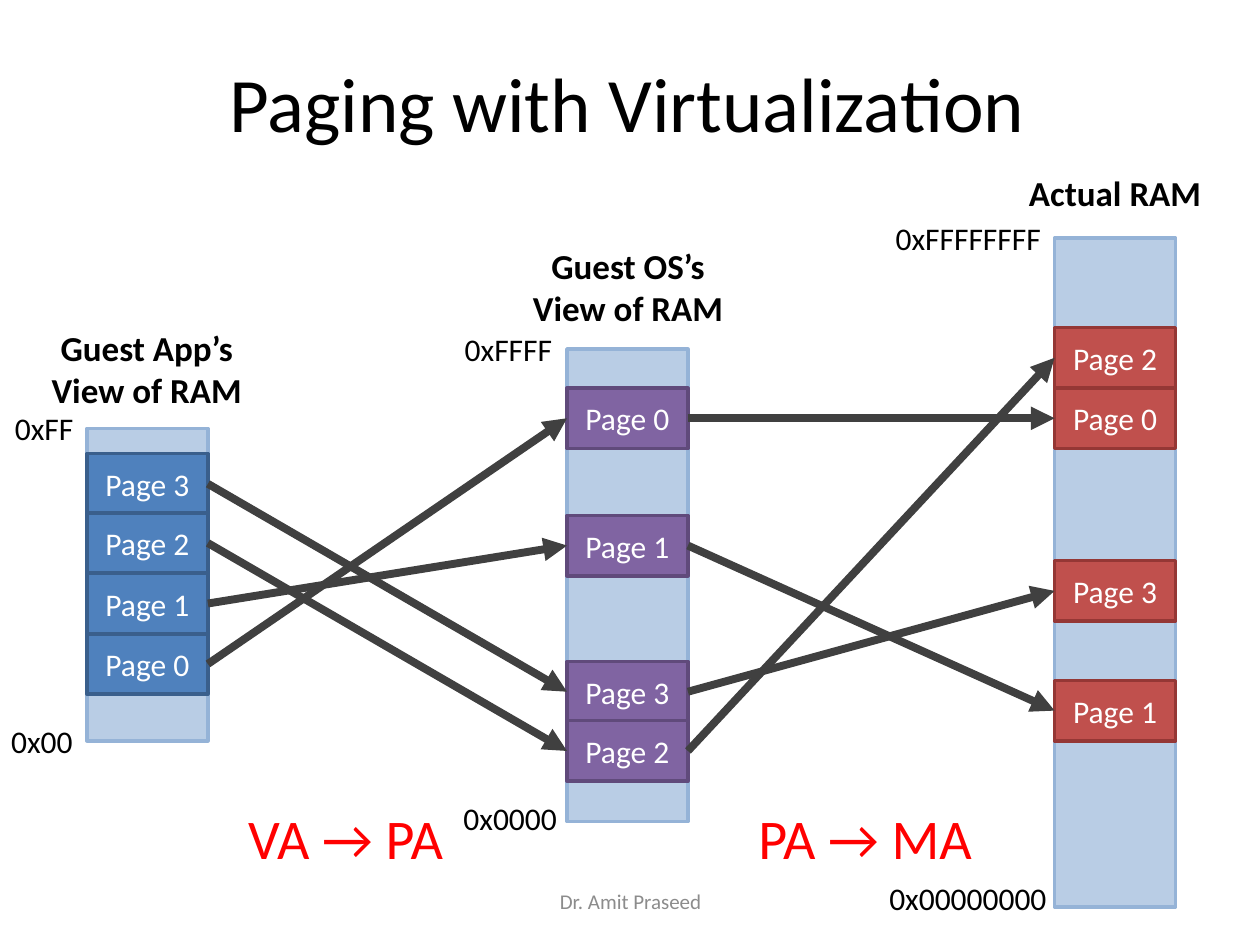
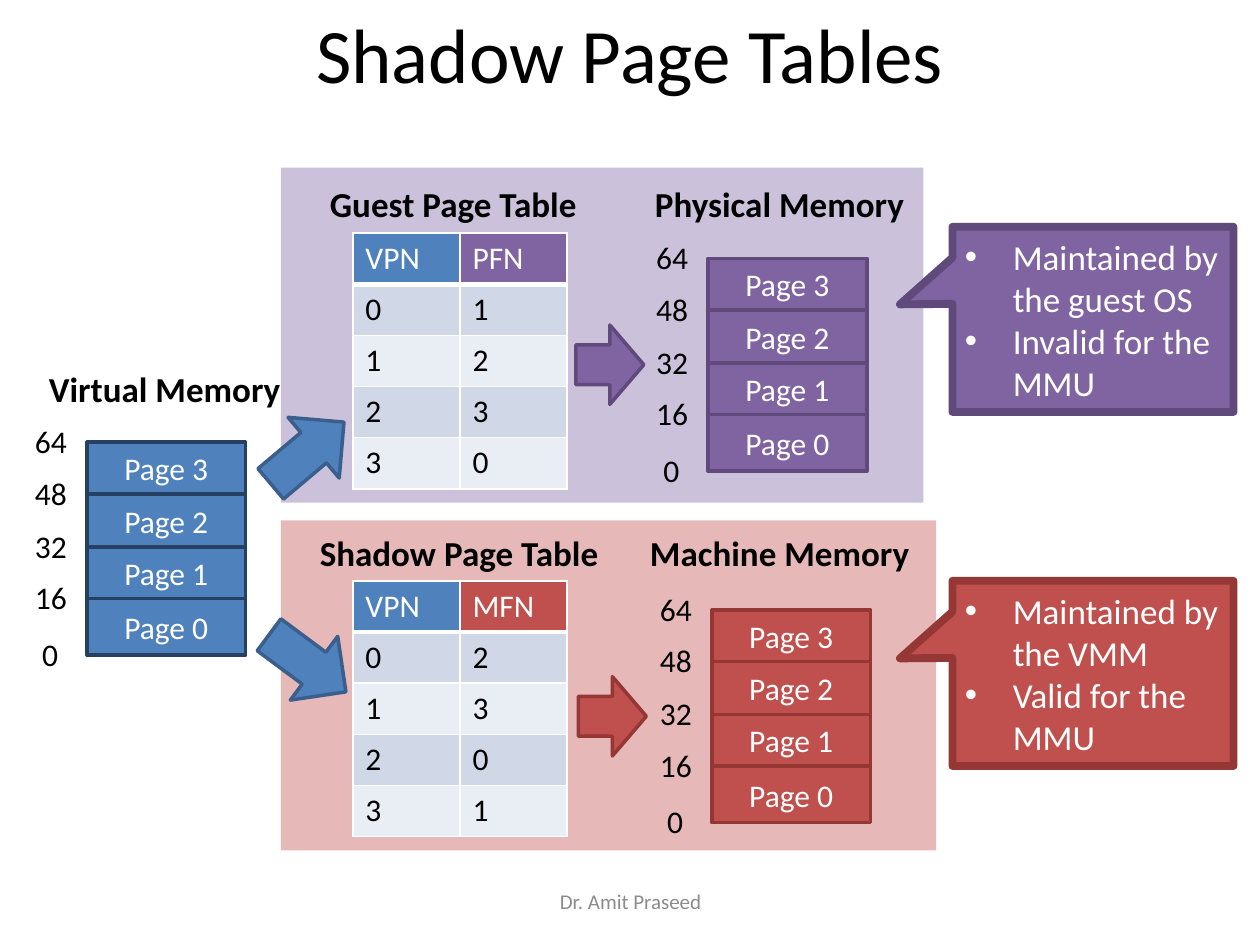
from lxml.etree import SubElement
from pptx import Presentation
from pptx.dml.color import RGBColor
from pptx.enum.shapes import MSO_CONNECTOR as CONN, MSO_SHAPE as SHAPE
from pptx.enum.text import MSO_ANCHOR as ANCHOR, MSO_AUTO_SIZE as AUTO, PP_ALIGN as ALIGN
from pptx.oxml import parse_xml
from pptx.oxml.ns import nsdecls, qn
from pptx.util import Inches, Pt

FONT = "Calibri"
BLACK, WHITE, RED_TEXT, GREY = "000000", "FFFFFF", "FF0000", "8C8C8C"
BLUE, PURPLE, RED = ("4F81BD", "3A5F8C"), ("8064A2", "604A7B"), ("C0504D", "953735")
NAVY_EDGED = ("4F81BD", "254061")
RAM = ("B9CDE5", "95B3D7")
ARROW = "404040"
BANDS = ("D0D8E8", "E9EDF4")
PAGE_W, PAGE_H = 0.96, 0.48


def rgb(value):
    """Turn a hex string into a colour."""
    return RGBColor.from_string(value)


def inches(box):
    """Convert a box of numbers to lengths."""
    return [Inches(v) for v in box]


def write(tf, text, size, color, align=ALIGN.LEFT, bold=False):
    """Fill a text frame and format every paragraph alike."""
    tf.text = text
    for p in tf.paragraphs:
        p.alignment = align
        for r in p.runs:
            r.font.name, r.font.size, r.font.bold = FONT, Pt(size), bold
            r.font.color.rgb = rgb(color)


def add_label(shapes, box, text, size=18, color=BLACK, align=ALIGN.LEFT, bold=False, wrap=False):
    """Add a text box that grows with its text."""
    tf = shapes.add_textbox(*inches(box)).text_frame
    write(tf, text, size, color, align, bold)
    tf.word_wrap = wrap
    tf.auto_size = AUTO.SHAPE_TO_FIT_TEXT
    return tf


def add_box(shapes, box, colors, text="", kind=SHAPE.RECTANGLE, width=2, size=18, align=ALIGN.CENTER):
    """Add a filled preset shape with an optional outline and text."""
    fill, edge = colors
    s = shapes.add_shape(kind, *inches(box))
    s.shadow.inherit = False
    s.fill.solid()
    s.fill.fore_color.rgb = rgb(fill)
    if edge:
        s.line.color.rgb = rgb(edge)
        s.line.width = Pt(width)
    else:
        s.line.fill.background()
    if text:
        write(s.text_frame, text, size, WHITE, align)
        s.text_frame.vertical_anchor = ANCHOR.MIDDLE
    return s


def add_link(shapes, start, end):
    """Draw a thick arrow between two points."""
    c = shapes.add_connector(CONN.STRAIGHT, *inches((*start, *end)))
    c.line.color.rgb = rgb(ARROW)
    c.line.width = Pt(4.5)
    SubElement(c.line._get_or_add_ln(), qn("a:tailEnd"), type="triangle")
    SubElement(c._element.spPr, qn("a:effectLst"))


def new_slide(prs, title, box):
    """Add a slide with its title and the shared footer."""
    slide = prs.slides.add_slide(prs.slide_layouts[5])
    s = slide.shapes.title
    s.left, s.top, s.width, s.height = inches(box)
    write(s.text_frame, title, 44, BLACK, ALIGN.CENTER)
    s.text_frame.vertical_anchor = ANCHOR.MIDDLE
    tf = add_label(slide.shapes, (3.42, 6.95, 3.17, 0.4), "Dr. Amit Praseed", 12, GREY, ALIGN.CENTER, wrap=True)
    tf.auto_size = AUTO.NONE
    tf.vertical_anchor = ANCHOR.MIDDLE
    return slide


def ram_column(slide, box, title, title_box, ends, colors, pages):
    """Draw one view of RAM with its title, end addresses and pages."""
    shapes = slide.shapes.add_group_shape().shapes
    add_box(shapes, box, RAM)
    add_label(shapes, title_box, title, 20, align=ALIGN.CENTER, bold=True)
    for number, top in pages.items():
        add_box(shapes, (box[0], top, PAGE_W, PAGE_H), colors, f"Page {number}")
    for text, left, top, width in ends:
        add_label(shapes, (left, top, width, 0.4), text)


def link_pages(slide, source_left, source, target_left, target):
    """Link each page to the page of the same number in the next column."""
    for number, top in source.items():
        add_link(slide.shapes, (source_left + PAGE_W, top + PAGE_H / 2),
                 (target_left, target[number] + PAGE_H / 2))


def page_stack(slide, left, top, colors, title, title_box):
    """Draw four stacked pages with addresses at their edges."""
    shapes = slide.shapes.add_group_shape().shapes
    edges = (0, 0.41, 0.83, 1.24, 1.69)
    for i, (upper, lower) in enumerate(zip(edges, edges[1:])):
        add_box(shapes, (left, top + upper, 1.26, lower - upper), colors, f"Page {3 - i}")
    for i, edge in enumerate(edges):
        address = 64 - 16 * i
        indent, width = (0.52, 0.46) if address else (0.46, 0.33)
        add_label(shapes, (left - indent, top + edge - 0.21, width, 0.4), str(address), align=ALIGN.RIGHT)
    add_label(shapes, title_box, title, 20, bold=True)


def set_borders(cell, bottom):
    """Give a cell white borders."""
    tc_pr = cell._tc.get_or_add_tcPr()
    for i, (side, width) in enumerate((("L", 1), ("R", 1), ("T", 1), ("B", bottom))):
        tc_pr.insert(i, parse_xml(
            f'<a:ln{side} {nsdecls("a")} w="{Pt(width)}"><a:solidFill>'
            f'<a:srgbClr val="{WHITE}"/></a:solidFill></a:ln{side}>'))


def page_table(slide, left, top, head, head_fills, frames):
    """Draw a page table that maps page numbers to frames."""
    rows = [head] + [(str(i), str(frame)) for i, frame in enumerate(frames)]
    table = slide.shapes.add_table(len(rows), 2, *inches((left, top, 1.7, 2.03))).table
    for i, row in enumerate(rows):
        fills = BANDS[(i - 1) % 2:][:1] * 2 if i else head_fills
        for j, text in enumerate(row):
            cell = table.cell(i, j)
            write(cell.text_frame, text, 18, BLACK if i else WHITE)
            cell.fill.solid()
            cell.fill.fore_color.rgb = rgb(fills[j])
            set_borders(cell, 1 if i else 3)


def callout(slide, box, colors, lines):
    """Draw a bulleted callout pointing left."""
    s = add_box(slide.shapes, box, colors, "\n".join(lines), SHAPE.RECTANGULAR_CALLOUT, 4.5, 20, ALIGN.LEFT)
    s.adjustments[0], s.adjustments[1] = -0.687, -0.081
    for p in s.text_frame.paragraphs:
        p_pr = p._p.get_or_add_pPr()
        p_pr.set("marL", str(Inches(0.38)))
        p_pr.set("indent", str(-Inches(0.38)))
        SubElement(p_pr, qn("a:buFont"), typeface="Arial")
        SubElement(p_pr, qn("a:buChar"), char="•")


def paging_slide(prs):
    """Build the slide on paging with virtualization."""
    slide = new_slide(prs, "Paging with Virtualization", (0.48, 0.18, 9, 1.25))
    app_left, os_left, ram_left = 0.69, 4.5, 8.37
    app = {3: 3.6, 2: 4.07, 1: 4.55, 0: 5.03}
    guest = {3: 5.25, 2: 5.72, 1: 4.09, 0: 3.08}
    actual = {3: 4.45, 2: 2.6, 1: 5.4, 0: 3.08}
    ram_column(slide, (app_left, 3.4, PAGE_W, 2.48), "Guest App’s\nView of RAM", (0.3, 2.54, 1.73, 0.77),
               (("0xFF", 0.02, 3.2, 0.67), ("0x00", -0.01, 5.68, 0.69)), BLUE, app)
    ram_column(slide, (ram_left, 1.89, PAGE_W, 5.31), "Actual RAM", (8.06, 1.31, 1.58, 0.44),
               (("0xFFFFFFFF", 7.01, 1.69, 1.36), ("0x00000000", 6.96, 6.93, 1.46)), RED, actual)
    ram_column(slide, (os_left, 2.77, PAGE_W, 3.75), "Guest OS’s\nView of RAM", (4.12, 1.89, 1.73, 0.77),
               (("0xFFFF", 3.59, 2.57, 0.9), ("0x0000", 3.58, 6.29, 0.95)), PURPLE, guest)
    link_pages(slide, app_left, app, os_left, guest)
    link_pages(slide, os_left, guest, ram_left, actual)
    for left, text in ((1.87, "VA → PA"), (5.92, "PA → MA")):
        add_label(slide.shapes, (left, 6.33, 2.58, 0.64), text, 32, RED_TEXT, wrap=True)


def shadow_slide(prs):
    """Build the slide on shadow page tables."""
    slide = new_slide(prs, "Shadow Page Tables", (0.5, 0, 9, 0.84))
    shapes = slide.shapes
    add_box(shapes, (2.23, 1.33, 5.1, 2.66), ("CCC1DA", None))
    add_box(shapes, (2.23, 4.13, 5.2, 2.62), ("E6B9B8", None))

    page_stack(slide, 0.69, 3.51, NAVY_EDGED, "Virtual Memory", (0.29, 2.87, 2.05, 0.44))
    page_stack(slide, 5.62, 2.05, PURPLE, "Physical Memory", (5.1, 1.4, 2.2, 0.44))
    page_stack(slide, 5.65, 4.84, RED, "Machine Memory", (5.06, 4.17, 2.28, 0.44))

    page_table(slide, 2.8, 1.85, ("VPN", "PFN"), (BLUE[0], PURPLE[0]), (1, 2, 3, 0))
    page_table(slide, 2.8, 4.61, ("VPN", "MFN"), (BLUE[0], RED[0]), (2, 3, 0, 1))
    add_label(shapes, (2.52, 1.4, 2.18, 0.44), "Guest Page Table", 20, bold=True)
    add_label(shapes, (2.44, 4.17, 2.43, 0.44), "Shadow Page Table", 20, bold=True)

    for left, top, width, colors, angle in (
            (2.06, 3.28, 0.76, BLUE, 319.9), (4.57, 2.58, 0.54, PURPLE, 0),
            (2.06, 4.95, 0.76, BLUE, 36.6), (4.59, 5.37, 0.54, RED, 0)):
        add_box(shapes, (left, top, width, 0.63), colors, kind=SHAPE.RIGHT_ARROW).rotation = angle

    callout(slide, (7.56, 1.8, 2.23, 1.47), PURPLE, ("Maintained by the guest OS", "Invalid for the MMU"))
    callout(slide, (7.56, 4.61, 2.23, 1.47), RED, ("Maintained by the VMM", "Valid for the MMU"))


def main():
    """Build and save the presentation."""
    prs = Presentation()
    prs.slide_width, prs.slide_height = Inches(10), Inches(7.5)
    paging_slide(prs)
    shadow_slide(prs)
    prs.save("out.pptx")


main()
